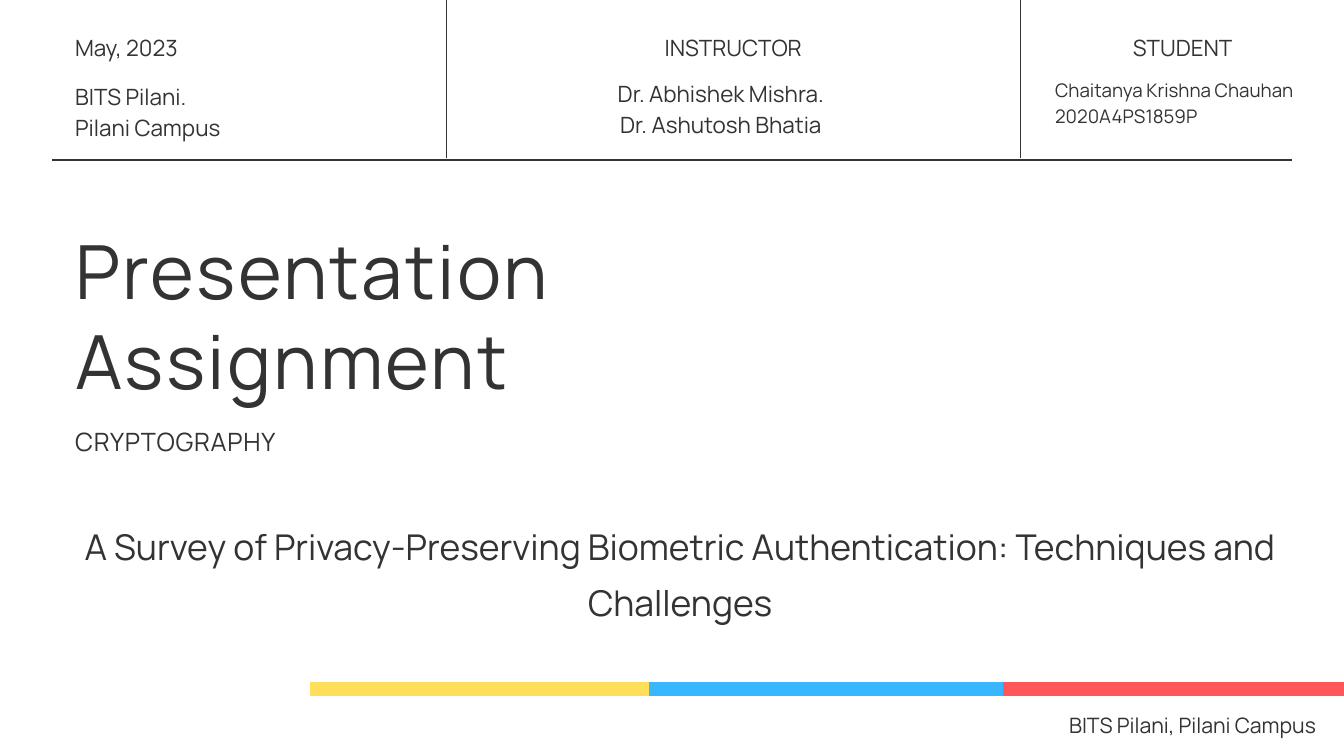
from itertools import pairwise

from lxml import etree
from pptx import Presentation
from pptx import util as u
from pptx.dml.color import RGBColor
from pptx.enum import shapes, text
from pptx.oxml.ns import qn

INK = "333333"
FONT = "Manrope"
LEFT = text.PP_ALIGN.LEFT
MID = text.PP_ALIGN.CENTER
RIGHT = text.PP_ALIGN.RIGHT
FULL = text.PP_ALIGN.JUSTIFY


def tint(code):
    return RGBColor.from_string(code)


class Deck:
    def __init__(self, wide, high):
        self.prs = Presentation()
        self.prs.slide_width = u.Cm(wide)
        self.prs.slide_height = u.Cm(high)
        self.slide = self.prs.slides.add_slide(self.prs.slide_layouts[6])

    def line(self, x1, y1, x2, y2, color=INK, width=1.5):
        ends = [u.Cm(n) for n in (x1, y1, x2, y2)]
        rule = self.slide.shapes.add_connector(shapes.MSO_CONNECTOR.STRAIGHT, *ends)
        rule.line.color.rgb = tint(color)
        rule.line.width = u.Pt(width)
        etree.SubElement(rule._element.spPr, qn("a:effectLst"))

    def text(self, spot, words, size=24, lead=33.6, align=LEFT, space=0):
        box = self.slide.shapes.add_textbox(*[u.Cm(n) for n in spot])
        frame = box.text_frame
        frame.word_wrap = True
        frame.auto_size = text.MSO_AUTO_SIZE.SHAPE_TO_FIT_TEXT
        frame.margin_left = frame.margin_right = 0
        frame.margin_top = frame.margin_bottom = 0
        frame.text = words
        for para in frame.paragraphs:
            para.alignment = align
            para.line_spacing = u.Pt(lead)
            for run in para.runs:
                run.font.name = FONT
                run.font.size = u.Pt(size)
                run.font.color.rgb = tint(INK)
                if space:
                    run._r.get_or_add_rPr().set("spc", str(round(space * 100)))

    def save(self):
        self.prs.save("out.pptx")


def main():
    deck = Deck(50.8, 28.58)

    for x in (16.87, 38.58):
        deck.line(x, 5.97, x, 0)
    deck.line(1.98, 6.05, 48.82, 6.05)

    edge = 2.84
    top = 1.12
    deck.text((edge, top, 11.1, 1.12), "May, 2023")
    deck.text((edge, 2.97, 11.1, 2.29), "BITS Pilani.\nPilani Campus")

    deck.text((22.23, top, 8.08, 1.12), "INSTRUCTOR", align=RIGHT)
    for y, name in ((2.87, "Dr. Abhishek Mishra."), (4.04, "Dr. Ashutosh Bhatia")):
        deck.text((20.78, y, 12.93, 1.12), name, align=MID)

    deck.text((42.11, top, 4.47, 1.12), "STUDENT", align=RIGHT)
    deck.text((39.88, 2.84, 15.11, 2.69), "Chaitanya Krishna Chauhan\n2020A4PS1859P",
              size=20, lead=28, align=FULL)

    deck.text((edge, 8.51, 26.09, 6.81), "Presentation\nAssignment",
              size=80, lead=96, space=2.5)
    deck.text((edge, 16.13, 19.99, 1.12), "CRYPTOGRAPHY",
              size=27, lead=32.4, space=0.8)
    deck.text((2.03, 19.3, 47.37, 6.3),
              "A Survey of Privacy-Preserving Biometric Authentication: "
              "Techniques and Challenges",
              size=38, lead=60.8, align=MID)

    stops = pairwise((11.71, 24.54, 37.9, 50.8))
    for (start, end), color in zip(stops, ("FFDE59", "38B6FF", "FF5757")):
        deck.line(start, 26.06, end, 26.06, color, 15)
    deck.text((37.39, 26.59, 15.37, 1.19), "BITS Pilani, Pilani Campus",
              size=22.7, lead=36.4, align=MID)

    deck.save()


if __name__ == "__main__":
    main()
